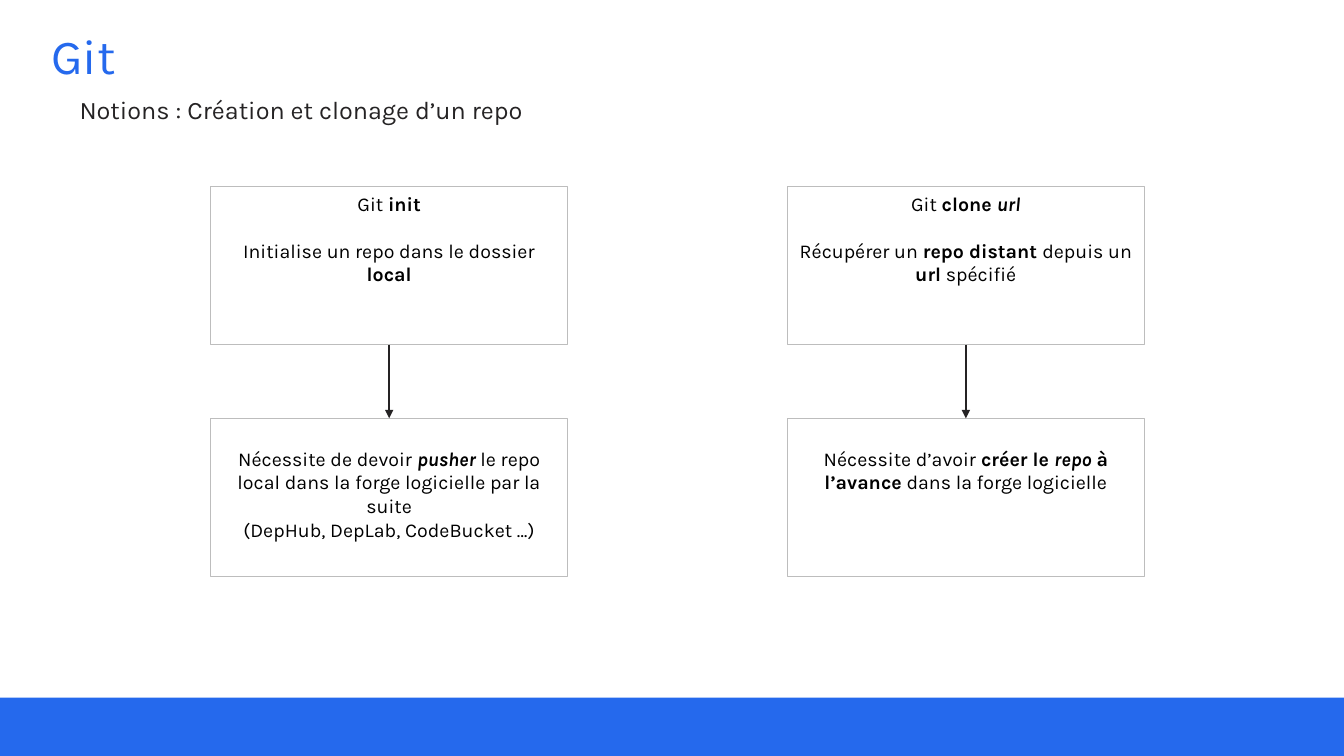
from pptx import Presentation
from pptx import util as u
from pptx.dml.color import RGBColor
from pptx.enum import shapes, text
from pptx.oxml.ns import qn
from lxml import etree

FONT = "Karla"
BLUE, DARK, GREY, BLACK = "2569ED", "252324", "BDBDBD", "000000"


def color(hex_str):
    return RGBColor.from_string(hex_str)


def style(p, size, hex_str, align=text.PP_ALIGN.LEFT):
    p.alignment = align
    p.font.name, p.font.size = FONT, u.Pt(size)
    p.font.color.rgb = color(hex_str)


prs = Presentation()
prs.slide_width, prs.slide_height = u.Inches(13.33), u.Inches(7.5)
slide = prs.slides.add_slide(prs.slide_layouts[5])

# Title
title = slide.shapes.title
title.left, title.top = u.Inches(0.41), u.Inches(0.27)
title.width, title.height = u.Inches(12.31), u.Inches(0.63)
title.text_frame.text = "Git"
title.text_frame.vertical_anchor = text.MSO_ANCHOR.MIDDLE
p = title.text_frame.paragraphs[0]
p.line_spacing = 0.9
style(p, 35, BLUE)

# Subtitle
sp = slide.shapes.add_textbox(u.Inches(0.69), u.Inches(0.89), u.Inches(6.55), u.Inches(0.4))
sp.text_frame.word_wrap = True
p = sp.text_frame.paragraphs[0]
p.text = "Notions : Création et clonage d’un repo"
style(p, 18, DARK)

# Footer band
band_top = u.Inches(6.92)
band = slide.shapes.add_shape(shapes.MSO_SHAPE.RECTANGLE, 0, band_top,
                              prs.slide_width, prs.slide_height - band_top)
band.shadow.inherit = False
band.fill.solid()
band.fill.fore_color.rgb = color(BLUE)
band.line.fill.background()

# Each column is a command above its constraint; runs are (text, style letters)
columns = [
    [
        [[("Git ", ""), ("init", "b")],
         [("Initialise un repo dans le dossier ", ""), ("local", "b")]],
        [[("Nécessite de devoir ", ""), ("pusher ", "bi"),
          ("le repo local dans la forge logicielle par la suite", "")],
         [("(DepHub, DepLab, CodeBucket …)", "")]],
    ],
    [
        [[("Git ", ""), ("clone ", "b"), ("url", "bi")],
         [("Récupérer un ", ""), ("repo distant ", "b"), ("depuis un ", ""),
          ("url", "b"), (" spécifié", "")]],
        [[("Nécessite d’avoir ", ""), ("créer le ", "b"), ("repo", "bi"),
          (" à l’avance", "b"), (" dans la forge logicielle", "")]],
    ],
]
LEFT, TOP, COL_STEP, ROW_STEP = 2.09, 1.85, 5.72, 2.3
BOX_W, BOX_H = 3.54, 1.57
LINE_GAP = 16.8
INSETS = [3.6, 3.6 + LINE_GAP]  # top inset of each row, in points
GAPS = [LINE_GAP, 0]  # space between paragraphs in each row, in points

for col, cells in enumerate(columns):
    boxes = []
    for row, paragraphs in enumerate(cells):
        # Box
        sp = slide.shapes.add_shape(
            shapes.MSO_SHAPE.RECTANGLE,
            u.Inches(LEFT + col * COL_STEP), u.Inches(TOP + row * ROW_STEP),
            u.Inches(BOX_W), u.Inches(BOX_H))
        sp.shadow.inherit = False
        sp.fill.background()
        sp.line.color.rgb = color(GREY)
        sp.line.width = u.Pt(0.75)
        boxes.append(sp)

        # Box text
        tf = sp.text_frame
        tf.word_wrap = True
        tf.vertical_anchor = text.MSO_ANCHOR.TOP
        tf.margin_top = u.Pt(INSETS[row])
        for i, runs in enumerate(paragraphs):
            p = tf.add_paragraph() if i else tf.paragraphs[0]
            style(p, 14, BLACK, text.PP_ALIGN.CENTER)
            p.space_before = u.Pt(GAPS[row] if i else 0)
            for words, marks in runs:
                r = p.add_run()
                r.text = words
                if "b" in marks:
                    r.font.bold = True
                if "i" in marks:
                    r.font.italic = True

    # Arrow from command to constraint
    arrow = slide.shapes.add_connector(shapes.MSO_CONNECTOR.STRAIGHT, 0, 0, 0, 0)
    arrow.begin_connect(boxes[0], 2)
    arrow.end_connect(boxes[1], 0)
    arrow.line.color.rgb = color(DARK)
    arrow.line.width = u.Pt(1.5)
    etree.SubElement(arrow.line._get_or_add_ln(), qn("a:tailEnd"), type="triangle")
    etree.SubElement(arrow._element.spPr, qn("a:effectLst"))

prs.save("out.pptx")
